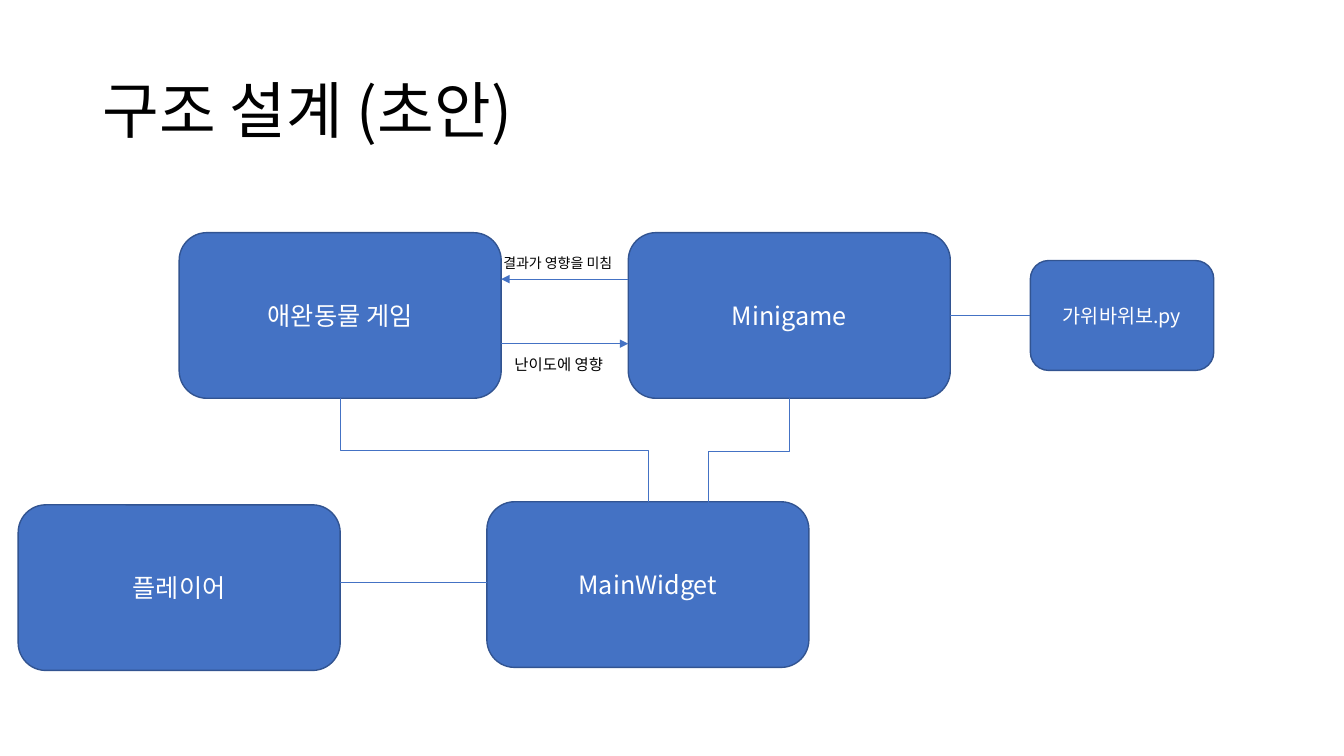
"""Build the structure design slide: game modules and the links between them."""
from dataclasses import dataclass

from lxml.etree import SubElement
from pptx import Presentation
from pptx.dml.color import RGBColor as RGB
from pptx.enum.shapes import MSO_CONNECTOR as LINK, MSO_SHAPE as SHAPE
from pptx.enum.text import MSO_ANCHOR as ANCHOR, MSO_AUTO_SIZE as FIT, PP_ALIGN as ALIGN
from pptx.oxml.ns import qn
from pptx.util import Pt


@dataclass(frozen=True)
class Theme:
    font: str = "Noto Sans CJK KR"
    black: RGB = RGB(0x00, 0x00, 0x00)
    white: RGB = RGB(0xFF, 0xFF, 0xFF)
    blue: RGB = RGB(0x44, 0x72, 0xC4)
    border: RGB = RGB(0x32, 0x54, 0x91)
    title: int = 44
    module: int = 18
    file: int = 14
    effect: int = 11
    result: int = 10


theme = Theme()


def write(frame, text, size, color):
    frame.text = text
    font = frame.paragraphs[0].runs[0].font
    font.name, font.size, font.color.rgb = theme.font, Pt(size), color
    SubElement(font._element, qn("a:ea")).set("typeface", theme.font)


def link(kind, x1, y1, x2, y2, arrow=False):
    line = slide.shapes.add_connector(kind, Pt(x1), Pt(y1), Pt(x2), Pt(y2))
    line.line.color.rgb, line.line.width = theme.blue, Pt(0.5)
    if arrow:
        SubElement(line.line._get_or_add_ln(), qn("a:tailEnd")).set("type", "triangle")
    SubElement(line._element.spPr, qn("a:effectLst"))
    return line


deck = Presentation()
deck.slide_width, deck.slide_height = Pt(960), Pt(540)
slide = deck.slides.add_slide(deck.slide_layouts[5])

title = slide.shapes.title
title.left, title.top, title.width, title.height = Pt(66), Pt(28.75), Pt(828), Pt(104.4)
write(title.text_frame, "구조 설계 (초안)", theme.title, theme.black)
title.text_frame.vertical_anchor = ANCHOR.MIDDLE
title.text_frame.paragraphs[0].alignment = ALIGN.LEFT
title.text_frame.paragraphs[0].line_spacing = 0.9

module_w, module_h = 230, 118.3
file_w, file_h = 131, 78.5
main_x, main_y = 347.8, 358.4
player_x, player_y = 13, 360.6
pet_x, minigame_x, game_y = 128, 448.8, 166.2
file_x = 736
game_bottom, game_middle = game_y + module_h, game_y + module_h / 2

modules = [
    ("MainWidget", main_x, main_y, module_w, module_h, theme.module),
    ("플레이어", player_x, player_y, module_w, module_h, theme.module),
    ("애완동물 게임", pet_x, game_y, module_w, module_h, theme.module),
    ("Minigame", minigame_x, game_y, module_w, module_h, theme.module),
    ("가위바위보.py", file_x, game_middle - file_h / 2, file_w, file_h, theme.file),
]
for name, x, y, w, h, size in modules:
    module = slide.shapes.add_shape(SHAPE.ROUNDED_RECTANGLE, Pt(x), Pt(y), Pt(w), Pt(h))
    module.shadow.inherit = False
    module.fill.solid()
    module.fill.fore_color.rgb = theme.blue
    module.line.color.rgb, module.line.width = theme.border, Pt(1)
    write(module.text_frame, name, size, theme.white)
    module.text_frame.vertical_anchor = ANCHOR.MIDDLE
    module.text_frame.paragraphs[0].alignment = ALIGN.CENTER

pet_right = pet_x + module_w
link(LINK.STRAIGHT, main_x, 416.2, player_x + module_w, 416.2)
link(LINK.STRAIGHT, minigame_x + module_w, game_middle, file_x, game_middle)
link(LINK.STRAIGHT, pet_right, 245.5, minigame_x, 245.5, arrow=True)
link(LINK.STRAIGHT, minigame_x, 199.4, pet_right, 199.4, arrow=True)

branches = [
    (pet_x + module_w / 2, 463, main_y, 270, True),
    (minigame_x + module_w / 2, 506.2, player_y, 90, False),
]
for start_x, end_x, end_y, turn, flipped in branches:
    drop, span = end_y - game_bottom, abs(end_x - start_x)
    left = (start_x + end_x - drop) / 2
    top = (game_bottom + end_y - span) / 2
    ends = (left + drop, left) if flipped else (left, left + drop)
    branch = link(LINK.ELBOW, ends[0], top, ends[1], top + span)
    branch._element.spPr.xfrm.set("rot", str(turn * 60000))

captions = [
    ("난이도에 영향", 360.4, 249.8, 90.7, 20.6, theme.effect, True),
    ("결과가 영향을 미침", 352.4, 178.6, 102.2, 19.4, theme.result, False),
]
for words, x, y, w, h, size, wraps in captions:
    caption = slide.shapes.add_textbox(Pt(x), Pt(y), Pt(w), Pt(h)).text_frame
    write(caption, words, size, theme.black)
    caption.word_wrap, caption.auto_size = wraps, FIT.SHAPE_TO_FIT_TEXT

deck.save("out.pptx")
